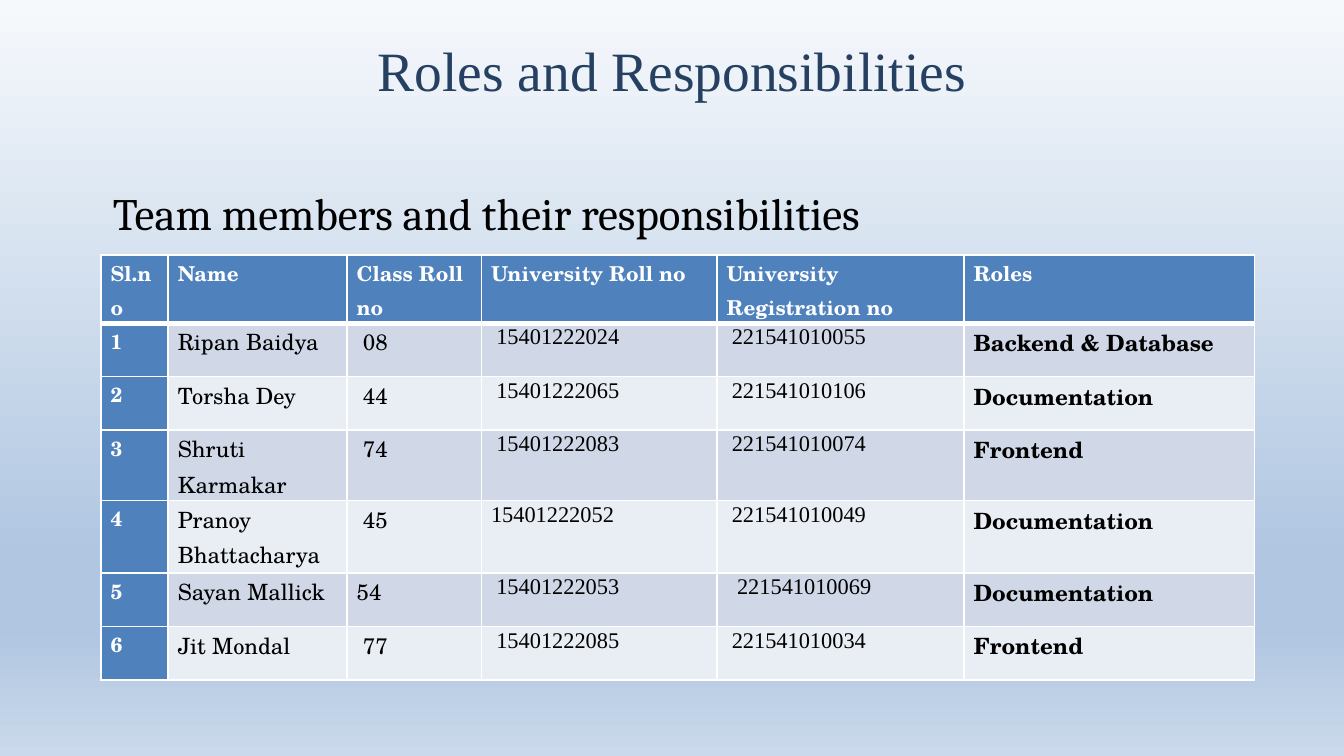
"""Build the slide that lists team members and their responsibilities."""
from dataclasses import dataclass

from lxml.etree import SubElement
from pptx import Presentation
from pptx.dml.color import RGBColor
from pptx.enum.text import MSO_ANCHOR, MSO_AUTO_SIZE, PP_ALIGN
from pptx.oxml.ns import qn
from pptx.util import Cm, Pt

COLORS = {
    "title": "254061",
    "text": "000000",
    "white": "FFFFFF",
    "header": "4F81BD",
    "odd": "D0D8E8",
    "even": "E9EDF4",
}
BACKGROUND = [(0, "F6F9FC"), (74, "B0C6E1"), (83, "B0C6E1"), (100, "CAD9EB")]
SERIF, SCHOOL = "Times New Roman", "TeX Gyre Schola"


@dataclass(frozen=True)
class Style:
    font: str
    size: float
    color: str
    bold: bool = False


@dataclass(frozen=True)
class Column:
    heading: str
    width: float
    style: Style
    indent: float = 0


@dataclass(frozen=True)
class Box:
    left: float
    top: float
    width: float
    height: float


HEADING = Style(SCHOOL, 11, "white", True)
PLAIN = Style(SCHOOL, 12, "text")
NUMBER = Style(SERIF, 12, "text")
ROLE = Style(SCHOOL, 12, "text", True)

COLUMNS = [
    Column("Sl.no", 1.27, HEADING),
    Column("Name", 3.38, PLAIN),
    Column("Class Roll no", 2.54, PLAIN, 0.12),
    Column("University Roll no", 4.45, NUMBER, 0.1),
    Column("University Registration no", 4.67, NUMBER, 0.1),
    Column("Roles", 5.49, ROLE),
]
MEMBERS = [
    ("1", "Ripan Baidya", "08", "15401222024", "221541010055", "Backend & Database"),
    ("2", "Torsha Dey", "44", "15401222065", "221541010106", "Documentation"),
    ("3", "Shruti Karmakar", "74", "15401222083", "221541010074", "Frontend"),
    ("4", "Pranoy Bhattacharya", "45", "15401222052", "221541010049", "Documentation"),
    ("5", "Sayan Mallick", "54", "15401222053", "221541010069", "Documentation"),
    ("6", "Jit Mondal", "77", "15401222085", "221541010034", "Frontend"),
]
SPECIAL_INDENTS = {(4, 3): 0, (5, 2): 0, (5, 4): 0.2}
ROW_HEIGHT, TALL_ROW, TALL_HEIGHT = 1.01, 4, 1.37


def format_runs(p, style: Style) -> None:
    for r in p.runs:
        r.font.name = style.font
        r.font.size = Pt(style.size)
        r.font.bold = style.bold
        r.font.color.rgb = RGBColor.from_string(COLORS[style.color])


def set_background(s) -> None:
    fill = s.background.fill
    fill.gradient()
    fill.gradient_angle = 270
    stops = s.element.find(".//" + qn("a:gsLst"))
    for stop in list(stops):
        stops.remove(stop)
    for percent, color in BACKGROUND:
        stop = SubElement(stops, qn("a:gs"), pos=str(percent * 1000))
        SubElement(stop, qn("a:srgbClr"), val=color)


def fill_placeholder(sp, box: Box, text: str, style: Style):
    sp.left, sp.top = Cm(box.left), Cm(box.top)
    sp.width, sp.height = Cm(box.width), Cm(box.height)
    tf = sp.text_frame
    tf.text = text
    tf.word_wrap = True
    tf.auto_size = MSO_AUTO_SIZE.NONE
    p = tf.paragraphs[0]
    p.space_before = Pt(0)
    format_runs(p, style)
    return tf


def set_borders(cell, row: int) -> None:
    tc_pr = cell._tc.get_or_add_tcPr()
    for side in "LRTB":
        thick = (row, side) in {(0, "B"), (1, "T")}
        line = SubElement(tc_pr, qn(f"a:ln{side}"), w=str(Pt(3 if thick else 1)))
        SubElement(SubElement(line, qn("a:solidFill")), qn("a:srgbClr"), val=COLORS["white"])


def fill_cell(cell, row: int, text: str, style: Style, fill: str, indent: float) -> None:
    set_borders(cell, row)
    cell.fill.solid()
    cell.fill.fore_color.rgb = RGBColor.from_string(COLORS[fill])
    cell.margin_left = Cm(0.18 + indent)
    cell.margin_right = Cm(0.18)
    cell.margin_top = cell.margin_bottom = 0
    cell.text = text
    p = cell.text_frame.paragraphs[0]
    p.line_spacing = 1.07
    p.space_after = Pt(8)
    format_runs(p, style)


def add_members_table(s, box: Box) -> None:
    frame = s.shapes.add_table(
        len(MEMBERS) + 1, len(COLUMNS),
        Cm(box.left), Cm(box.top), Cm(box.width), Cm(box.height))
    table = frame.table
    table.horz_banding = False
    for i, row in enumerate(table.rows):
        row.height = Cm(TALL_HEIGHT if i == TALL_ROW else ROW_HEIGHT)
    for j, column in enumerate(COLUMNS):
        table.columns[j].width = Cm(column.width)
        fill_cell(table.cell(0, j), 0, column.heading, HEADING, "header", 0)
        for i, member in enumerate(MEMBERS, 1):
            band = "odd" if i % 2 else "even"
            fill_cell(table.cell(i, j), i, member[j], column.style,
                      "header" if j == 0 else band,
                      SPECIAL_INDENTS.get((i, j), column.indent))


def main() -> None:
    prs = Presentation()
    prs.slide_width, prs.slide_height = Cm(25.4), Cm(14.29)
    s = prs.slides.add_slide(prs.slide_layouts[1])
    set_background(s)

    tf = fill_placeholder(s.shapes.title, Box(4.55, 0.79, 16.31, 1.27),
                          "Roles and Responsibilities", Style(SERIF, 29.7, "title"))
    tf.vertical_anchor = MSO_ANCHOR.MIDDLE
    tf.paragraphs[0].alignment = PP_ALIGN.CENTER
    tf.paragraphs[0].line_spacing = 0.8

    tf = fill_placeholder(s.placeholders[1], Box(1.88, 3.38, 15.77, 1.42),
                          "Team members and their responsibilities",
                          Style("Cambria", 24, "text"))
    p_pr = tf.paragraphs[0]._p.get_or_add_pPr()
    p_pr.set("marL", "0")
    p_pr.set("indent", "0")
    SubElement(p_pr, qn("a:buNone"))

    add_members_table(s, Box(1.91, 4.82, 21.8, 7.43))
    prs.save("out.pptx")


if __name__ == "__main__":
    main()
